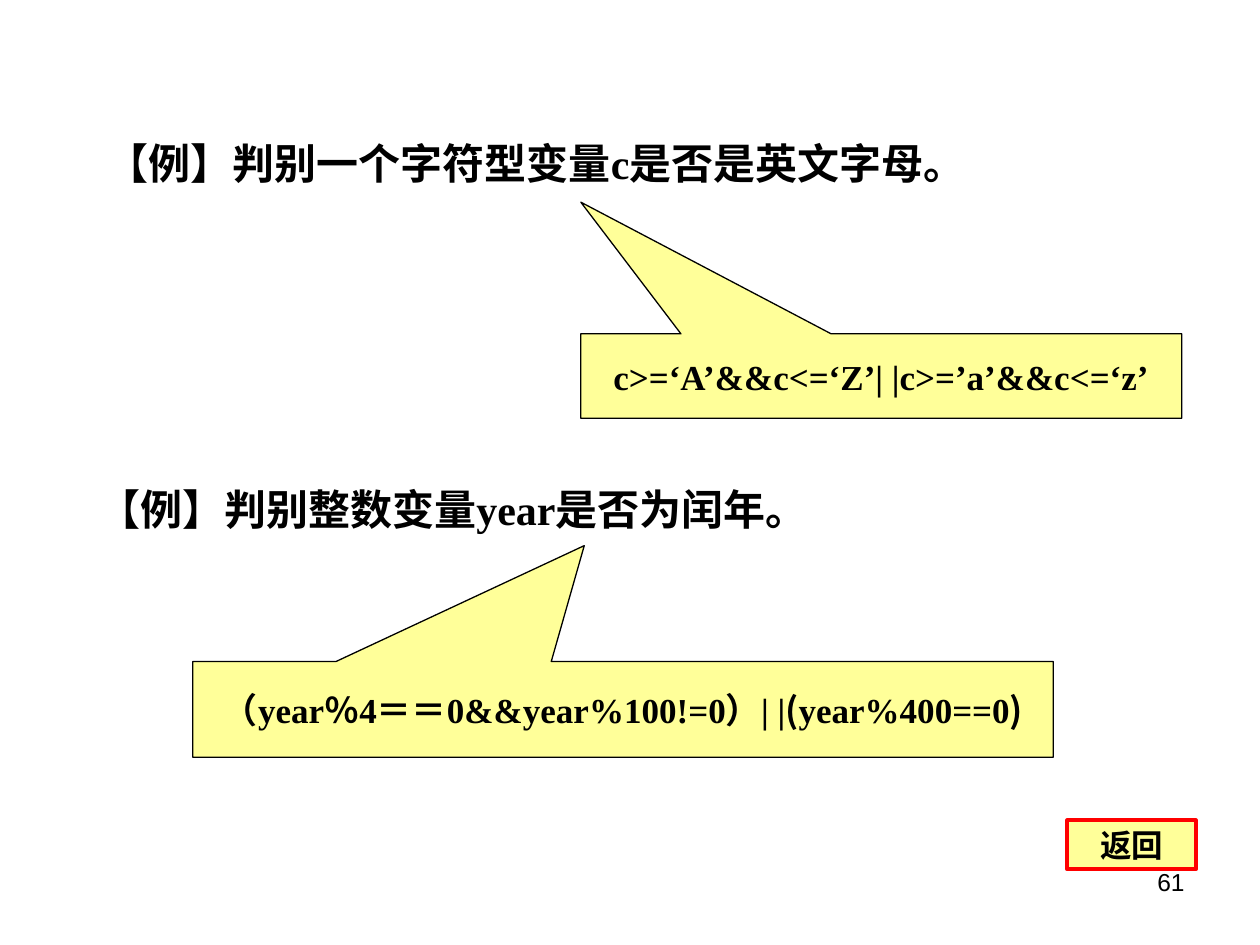
from lxml import etree
from pptx import Presentation
from pptx import util as u
from pptx.dml.color import RGBColor
from pptx.enum import shapes, text
from pptx.oxml import ns

BLACK = RGBColor(0, 0, 0)
RED = RGBColor(0xFF, 0, 0)
YELLOW = RGBColor(0xFF, 0xFF, 0x99)
SERIF, SANS, CJK = "Times New Roman", "Arial", "Noto Sans CJK SC"
WIDTH, HEIGHT = u.Inches(10), u.Inches(7.5)
COLS, ROWS = 100, 75


def box(col, row, cols, rows):
    return (int(WIDTH * col / COLS), int(HEIGHT * row / ROWS),
            int(WIDTH * cols / COLS), int(HEIGHT * rows / ROWS))


def write(sp, runs, size, bold=True, align=text.PP_ALIGN.CENTER, wrap=True):
    tf = sp.text_frame
    tf.word_wrap = wrap
    p = tf.paragraphs[0]
    p.alignment = align
    for words, font in runs:
        r = p.add_run()
        r.text = words
        r.font.name = font
        r.font.size = u.Pt(size)
        r.font.bold = bold
        r.font.color.rgb = BLACK
        ea = etree.SubElement(r.font._element, ns.qn("a:ea"))
        ea.set("typeface", CJK)
    return p


def add_example(s, place, words):
    sp = s.shapes.add_textbox(*box(*place))
    p = write(sp, [(words, SERIF)], 24, wrap=False)
    p.line_spacing = 1.5


def add_panel(s, kind, place, runs, size, line, weight, wrap=True):
    sp = s.shapes.add_shape(kind, *box(*place))
    sp.shadow.inherit = False
    sp.fill.solid()
    sp.fill.fore_color.rgb = YELLOW
    sp.line.color.rgb = line
    sp.line.width = u.Pt(weight)
    sp.text_frame.vertical_anchor = text.MSO_ANCHOR.MIDDLE
    write(sp, runs, size, wrap=wrap)
    return sp


def add_callout(s, place, tip, runs):
    kind = shapes.MSO_SHAPE.RECTANGULAR_CALLOUT
    sp = add_panel(s, kind, place, runs, 20, BLACK, 0.75)
    sp.adjustments[0], sp.adjustments[1] = tip


def add_button(s, place, words):
    add_panel(s, shapes.MSO_SHAPE.RECTANGLE, place, [(words, SERIF)], 18,
              RED, 2.25, wrap=False)


def add_page_number(s, place, number):
    sp = s.shapes.add_textbox(*box(*place))
    write(sp, [(number, SANS)], 14, bold=False, align=text.PP_ALIGN.RIGHT)


def main():
    prs = Presentation()
    prs.slide_width, prs.slide_height = WIDTH, HEIGHT
    s = prs.slides.add_slide(prs.slide_layouts[6])
    add_page_number(s, (71.7, 68.3, 23.3, 5.2), "61")
    add_example(s, (6.7, 8.4, 71.7, 7), "【例】判别一个字符型变量c是否是英文字母。")
    add_callout(s, (46.1, 26.5, 47.7, 6.7), (-0.5, -2.06),
                [("c>=‘A’&&c<=‘Z’| |c>=’a’&&c<=‘z’", SERIF)])
    add_example(s, (6, 35.9, 59.9, 7), "【例】判别整数变量year是否为闰年。")
    add_callout(s, (15.3, 52.5, 68.3, 7.6), (-0.045, -1.71),
                [("（year％4＝＝0&&year%100!=0）| |", SERIF), ("(", CJK),
                 ("year%400==0", SERIF), (")", CJK)])
    add_button(s, (84.7, 65.1, 10.2, 3.9), "返回")
    prs.save("out.pptx")


if __name__ == "__main__":
    main()
